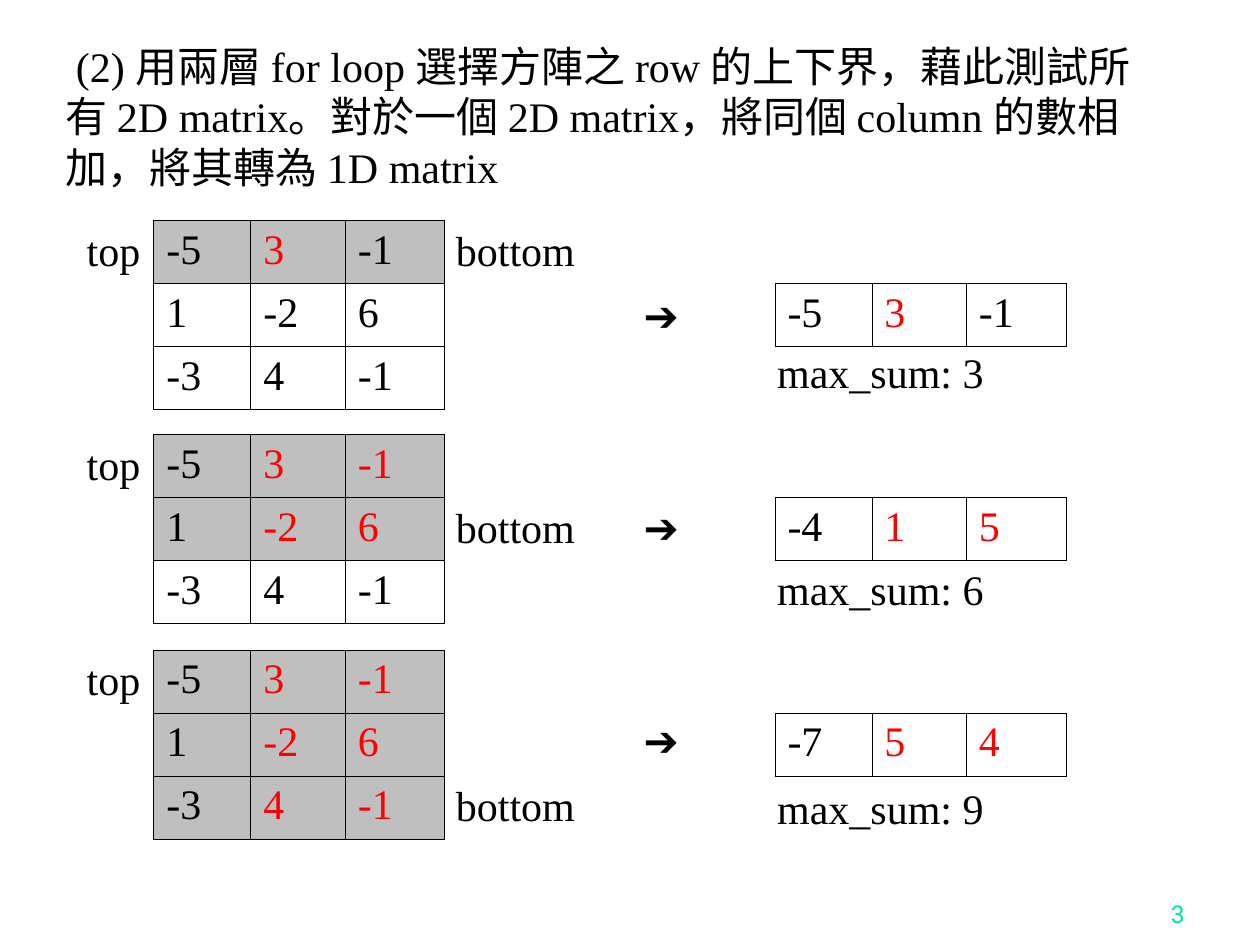
from lxml.etree import SubElement
from pptx import Presentation
from pptx.dml.color import RGBColor
from pptx.enum.text import MSO_ANCHOR, MSO_AUTO_SIZE, PP_ALIGN
from pptx.oxml.ns import qn
from pptx.util import Inches, Pt

COLORS = {"text": "000000", "best": "FF0000", "chosen": "BFBFBF", "number": "00E4A8"}
SERIF = "Times New Roman"
HEADING = (" (2) 用兩層 for loop 選擇方陣之 row 的上下界，藉此測試所有 2D matrix。"
           "對於一個 2D matrix，將同個 column 的數相加，將其轉為 1D matrix")
MATRIX = [[-5, 3, -1], [1, -2, 6], [-3, 4, -1]]
COL_WIDTHS = [0.77, 0.75, 0.79]
ROW_HEIGHT = 0.5
STEPS = [(1.75, {1}), (3.45, {1, 2}), (5.16, {1, 2})]


def color(name):
    """Return the named colour."""
    return RGBColor.from_string(COLORS[name])


def style(p, name="text", size=24, font=SERIF):
    """Format a whole paragraph."""
    p.font.size = Pt(size)
    p.font.name = font
    p.font.color.rgb = color(name)


def add_label(s, text, left, top, width, font=SERIF):
    """Add a one-line label."""
    sp = s.shapes.add_textbox(Inches(left), Inches(top), Inches(width), Inches(ROW_HEIGHT))
    tf = sp.text_frame
    tf.word_wrap = True
    tf.text = text
    style(tf.paragraphs[0], font=font)
    return sp


def add_borders(cell):
    """Give a cell thin black borders on all sides."""
    tc_pr = cell._tc.get_or_add_tcPr()
    for side in ("lnL", "lnR", "lnT", "lnB"):
        line = SubElement(tc_pr, qn(f"a:{side}"), w=str(Pt(0.45)))
        fill = SubElement(line, qn("a:solidFill"))
        SubElement(fill, qn("a:srgbClr"), val=COLORS["text"])


def add_grid(s, rows, left, top, best, chosen=0):
    """Add a number table with shaded top rows and red best columns."""
    table = s.shapes.add_table(len(rows), len(COL_WIDTHS), Inches(left), Inches(top),
                               Inches(sum(COL_WIDTHS)), Inches(ROW_HEIGHT * len(rows))).table
    table.first_row = table.horz_banding = False
    for col, width in zip(table.columns, COL_WIDTHS):
        col.width = Inches(width)
    for i, row in enumerate(rows):
        for j, value in enumerate(row):
            cell = table.cell(i, j)
            add_borders(cell)
            if i < chosen:
                cell.fill.solid()
                cell.fill.fore_color.rgb = color("chosen")
            else:
                cell.fill.background()
            cell.text = str(value)
            is_best = j in best and i < max(chosen, 1)
            style(cell.text_frame.paragraphs[0], "best" if is_best else "text")


def add_step(s, index, left, top, best):
    """Add one step: matrix with bounds, arrow, column sums and maximum."""
    chosen = index + 1
    sums = [sum(col) for col in zip(*MATRIX[:chosen])]
    add_grid(s, MATRIX, left, top, best, chosen)
    add_label(s, "top", left - 0.63, top - 0.02, 0.63)
    add_label(s, "bottom", left + 2.3, top - 0.02 + ROW_HEIGHT * index, 1.24)
    add_label(s, "➔", left + 3.79, top + 0.5 - 0.02 * index, 0.63, "Arial")
    add_grid(s, [sums], left + 4.93, top + ROW_HEIGHT, best)
    add_label(s, f"max_sum: {sum(sums[j] for j in best)}",
              left + 4.85, top + 0.95 + 0.025 * index, 2.3)


def add_heading(s, left, top, width, height):
    """Place the heading in the title placeholder."""
    sp = s.shapes.title
    sp.left, sp.top, sp.width, sp.height = map(Inches, (left, top, width, height))
    tf = sp.text_frame
    tf.text = HEADING
    tf.word_wrap = True
    tf.auto_size = MSO_AUTO_SIZE.NONE
    tf.vertical_anchor = MSO_ANCHOR.TOP
    p = tf.paragraphs[0]
    p.alignment = PP_ALIGN.LEFT
    style(p)


def add_page_number(s, left, top, width):
    """Add the page number."""
    tf = add_label(s, "3", left, top, width).text_frame
    tf.vertical_anchor = MSO_ANCHOR.BOTTOM
    p = tf.paragraphs[0]
    p.alignment = PP_ALIGN.RIGHT
    style(p, "number", 14, "Roboto")


def main():
    """Build and save the slide."""
    prs = Presentation()
    prs.slide_width, prs.slide_height = Inches(10), Inches(7.5)
    s = prs.slides.add_slide(prs.slide_layouts[5])
    add_heading(s, 0.42, 0.27, 8.83, 1.3)
    for index, (top, best) in enumerate(STEPS):
        add_step(s, index, 1.22, top, best)
    add_page_number(s, 7.42, 6.92, 2.08)
    prs.save("out.pptx")


if __name__ == "__main__":
    main()
